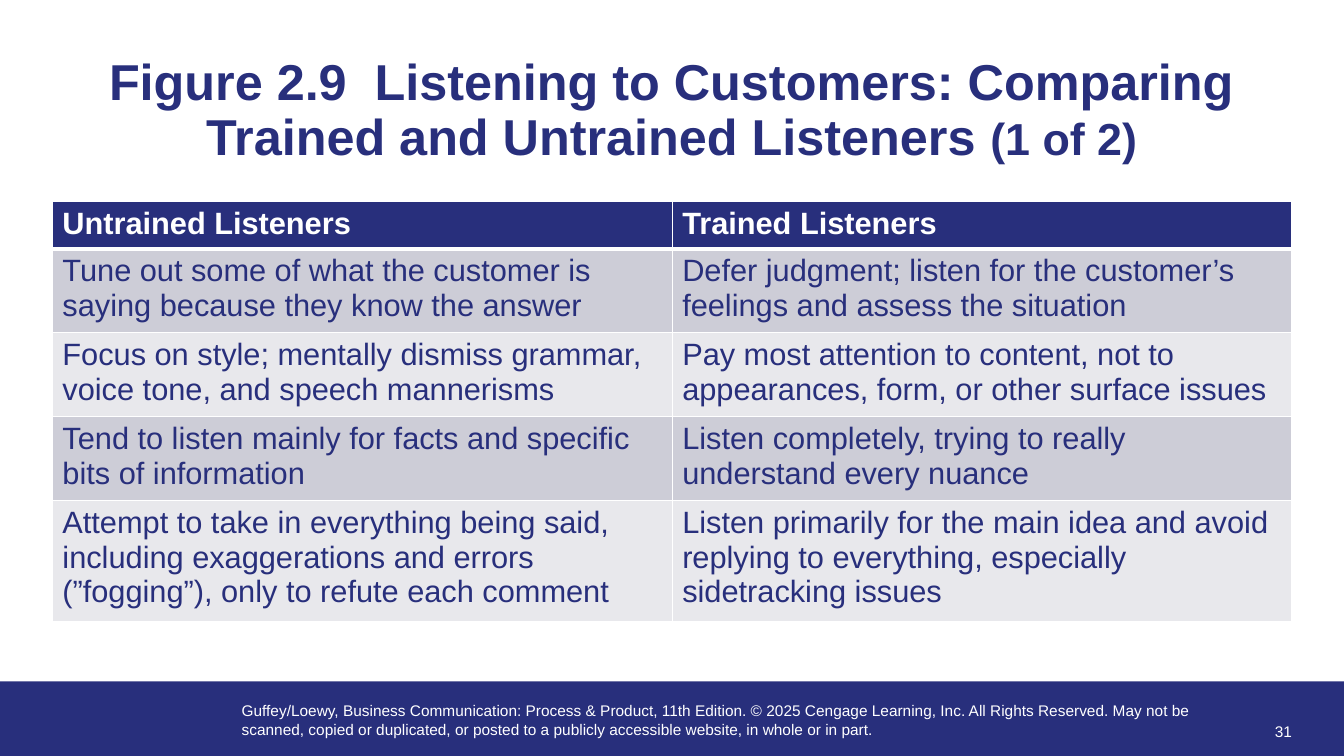
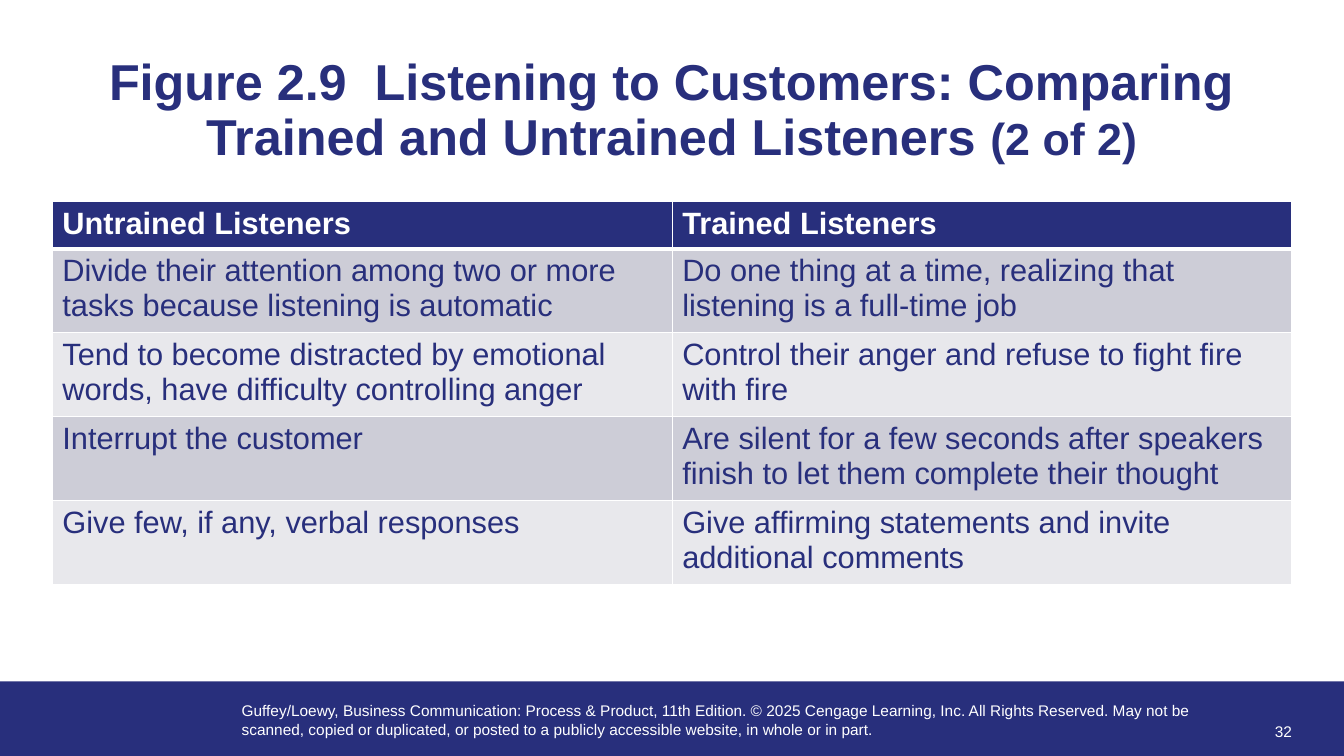
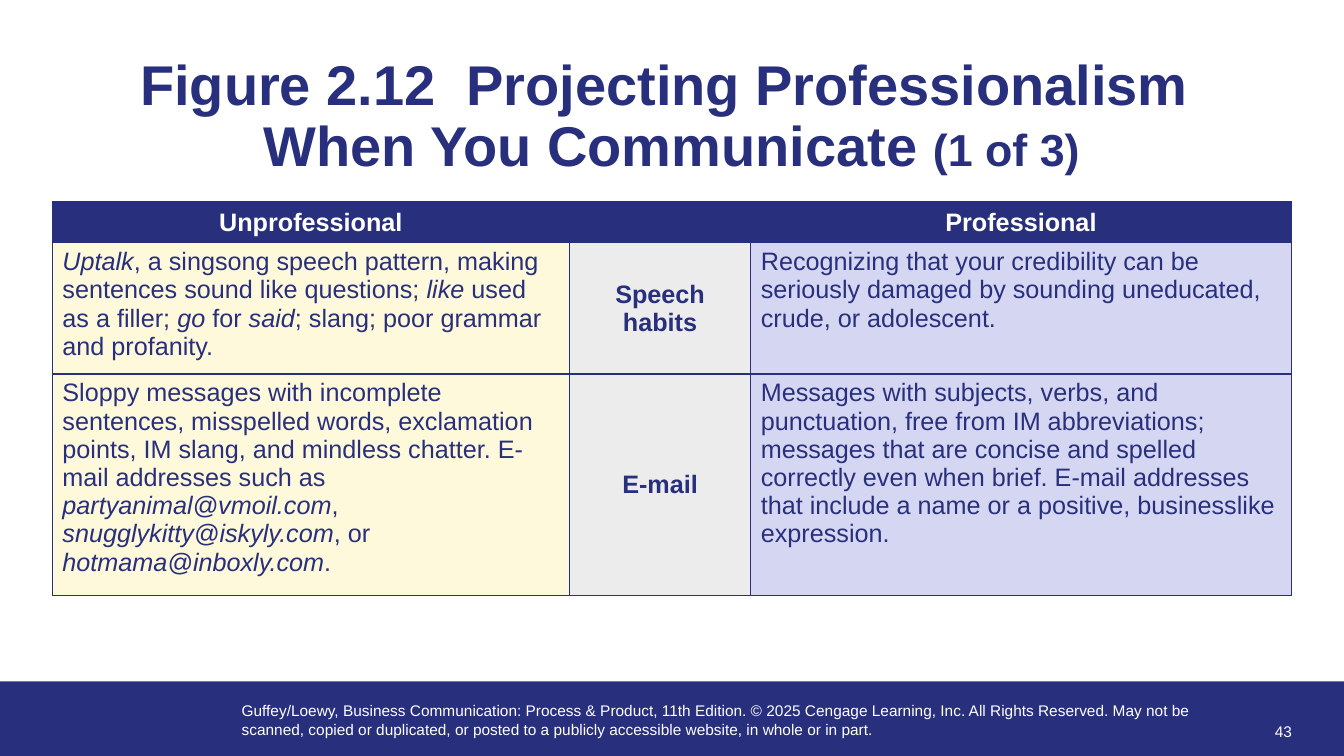
from lxml import etree
from pptx import Presentation
from pptx.dml.color import RGBColor
from pptx.enum.shapes import MSO_SHAPE
from pptx.enum.text import MSO_ANCHOR, MSO_AUTO_SIZE, PP_ALIGN
from pptx.oxml import parse_xml
from pptx.oxml.ns import nsdecls, qn
from pptx.util import Cm, Pt

RECTANGLE = MSO_SHAPE.RECTANGLE
TOP, MIDDLE = MSO_ANCHOR.TOP, MSO_ANCHOR.MIDDLE
LEFT, CENTER, RIGHT = PP_ALIGN.LEFT, PP_ALIGN.CENTER, PP_ALIGN.RIGHT
FIXED = MSO_AUTO_SIZE.NONE

NAVY = RGBColor(0x28, 0x2F, 0x7C)
WHITE = RGBColor(0xFF, 0xFF, 0xFF)
DARK_GREY = RGBColor(0xCD, 0xCD, 0xD7)
LIGHT_GREY = RGBColor(0xE8, 0xE8, 0xEC)
CREAM = RGBColor(0xFF, 0xF9, 0xDB)
SILVER = RGBColor(0xED, 0xEC, 0xED)
LAVENDER = RGBColor(0xD5, 0xD7, 0xF2)

MARGIN = Cm(1.32)
COPYRIGHT = (
    "Guffey/Loewy, Business Communication: Process & Product, 11th Edition. "
    "© 2025 Cengage Learning, Inc. All Rights Reserved. May not be scanned, copied or "
    "duplicated, or posted to a publicly accessible website, in whole or in part."
)

LISTENERS = {
    "title": ["Figure 2.9  Listening to Customers: Comparing Trained and Untrained Listeners "],
    "title_size": 36,
    "text_size": 22,
    "columns": [15.62, 15.62],
    "fills": [[DARK_GREY] * 2, [LIGHT_GREY] * 2],
    "header_align": LEFT,
    "label_column": None,
    "line": WHITE,
    "header_rule": 3,
}
PROFESSIONALISM = {
    "title": ["Figure 2.12  Projecting Professionalism ", "When You Communicate "],
    "title_size": 40,
    "text_size": 18,
    "columns": [13.03, 4.57, 13.62],
    "fills": [[CREAM, SILVER, LAVENDER]],
    "header_align": CENTER,
    "label_column": 1,
    "line": NAVY,
    "header_rule": 1,
}
PAGES = [
    (LISTENERS, "31", "(1 of 2)", [1.1, 1.98, 1.98, 1.98, 2.86], [
        ["Untrained Listeners", "Trained Listeners"],
        ["Tune out some of what the customer is saying because they know the answer",
         "Defer judgment; listen for the customer’s feelings and assess the situation"],
        ["Focus on style; mentally dismiss grammar, voice tone, and speech mannerisms",
         "Pay most attention to content, not to appearances, form, or other surface issues"],
        ["Tend to listen mainly for facts and specific bits of information",
         "Listen completely, trying to really understand every nuance"],
        ["Attempt to take in everything being said, including exaggerations and errors "
         "(”fogging”), only to refute each comment",
         "Listen primarily for the main idea and avoid replying to everything, "
         "especially sidetracking issues"],
    ]),
    (LISTENERS, "32", "(2 of 2)", [1.1, 1.98, 1.98, 1.98, 1.98], [
        ["Untrained Listeners", "Trained Listeners"],
        ["Divide their attention among two or more tasks because listening is automatic",
         "Do one thing at a time, realizing that listening is a full-time job"],
        ["Tend to become distracted by emotional words, have difficulty controlling anger",
         "Control their anger and refuse to fight fire with fire"],
        ["Interrupt the customer",
         "Are silent for a few seconds after speakers finish to let them complete their thought"],
        ["Give few, if any, verbal responses",
         "Give affirming statements and invite additional comments"],
    ]),
    (PROFESSIONALISM, "43", "(1 of 3)", [1.04, 3.1, 5.22], [
        ["Unprofessional", "", "Professional"],
        ["*Uptalk*, a singsong speech pattern, making sentences sound like questions; "
         "*like* used as a filler; *go* for *said*; slang; poor grammar and profanity.",
         "Speech habits",
         "Recognizing that your credibility can be seriously damaged by sounding "
         "uneducated, crude, or adolescent."],
        ["Sloppy messages with incomplete sentences, misspelled words, exclamation points, "
         "IM slang, and mindless chatter. E-mail addresses such as "
         "*partyanimal@vmoil.com*, *snugglykitty@iskyly.com*, or *hotmama@inboxly.com*.",
         "E-mail",
         "Messages with subjects, verbs, and punctuation, free from IM abbreviations; "
         "messages that are concise and spelled correctly even when brief. E-mail addresses "
         "that include a name or a positive, businesslike expression."],
    ]),
]


def write(para, text, color, **look):
    for position, piece in enumerate(text.split("*")):
        if piece:
            span = para.add_run()
            span.text = piece
            span.font.color.rgb = color
            values = {"name": "Arial", "italic": position % 2 == 1, **look}
            for name, value in values.items():
                setattr(span.font, name, value)


def add_border(cell, index, side, color, width):
    line = parse_xml(f'<a:ln{side} {nsdecls("a")} w="{Pt(width)}"/>')
    paint = etree.SubElement(line, qn("a:solidFill"))
    etree.SubElement(paint, qn("a:srgbClr"), val=str(color))
    cell._tc.get_or_add_tcPr().insert(index, line)


deck = Presentation()
deck.slide_width, deck.slide_height = Cm(33.87), Cm(19.05)
layout = deck.slide_layouts[5]

title_frame = {"left": MARGIN, "top": MARGIN, "width": Cm(31.22), "height": Cm(3.38)}
for name, value in title_frame.items():
    setattr(layout.placeholders[0], name, value)

for number, (style, page_number, part, heights, rows) in enumerate(PAGES):
    page = deck.slides.add_slide(layout)

    if number == 0:
        band = page.shapes.add_shape(RECTANGLE, 0, Cm(17.17), deck.slide_width, Cm(1.88))
        band.shadow.inherit = False
        band.fill.solid()
        band.fill.fore_color.rgb = NAVY
        band.line.fill.background()
        footer = page.shapes.add_textbox(Cm(5.84), Cm(17.55), Cm(24.89), Cm(1.19))
        footer.text_frame.word_wrap = True
        write(footer.text_frame.paragraphs[0], COPYRIGHT, WHITE, size=Pt(11))
        for shared in (band, footer):
            layout.shapes.element.append(shared.element)

    box = page.shapes.add_textbox(Cm(30.78), Cm(17.91), Cm(2.03), Cm(1.02))
    box.text_frame.word_wrap = True
    box.text_frame.vertical_anchor = MIDDLE
    para = box.text_frame.paragraphs[0]
    para.alignment = RIGHT
    write(para, page_number, WHITE, size=Pt(11))

    heading = page.shapes.title.text_frame
    heading.auto_size = FIXED
    heading.vertical_anchor = TOP
    para = heading.paragraphs[0]
    para.alignment = CENTER
    para.line_spacing = 0.9
    for line_number, text in enumerate(style["title"]):
        if line_number:
            para.add_line_break()
        write(para, text, NAVY, size=Pt(style["title_size"]), bold=True)
    write(para, part, NAVY, size=Pt(32), bold=True)

    columns = style["columns"]
    table = page.shapes.add_table(
        len(rows), len(columns), MARGIN, Cm(5.08), Cm(sum(columns)), Cm(sum(heights))
    ).table
    table.horz_banding = False
    for column, width in zip(table.columns, columns):
        column.width = Cm(width)
    for row, height in zip(table.rows, heights):
        row.height = Cm(height)

    for r, texts in enumerate(rows):
        for c, text in enumerate(texts):
            cell = table.cell(r, c)
            header = r == 0
            label = c == style["label_column"]
            fills = style["fills"]
            cell.fill.solid()
            cell.fill.fore_color.rgb = NAVY if header else fills[(r - 1) % len(fills)][c]
            for index, side in enumerate("LRTB"):
                under_header = (r, side) in ((0, "B"), (1, "T"))
                width = style["header_rule"] if under_header else 1
                add_border(cell, index, side, style["line"], width)
            para = cell.text_frame.paragraphs[0]
            para.alignment = style["header_align"] if header else CENTER if label else LEFT
            cell.vertical_anchor = MIDDLE if para.alignment == CENTER else TOP
            para.font.size = Pt(style["text_size"])
            write(para, text, WHITE if header else NAVY,
                  size=Pt(style["text_size"]), bold=header or label)

deck.save("out.pptx")
